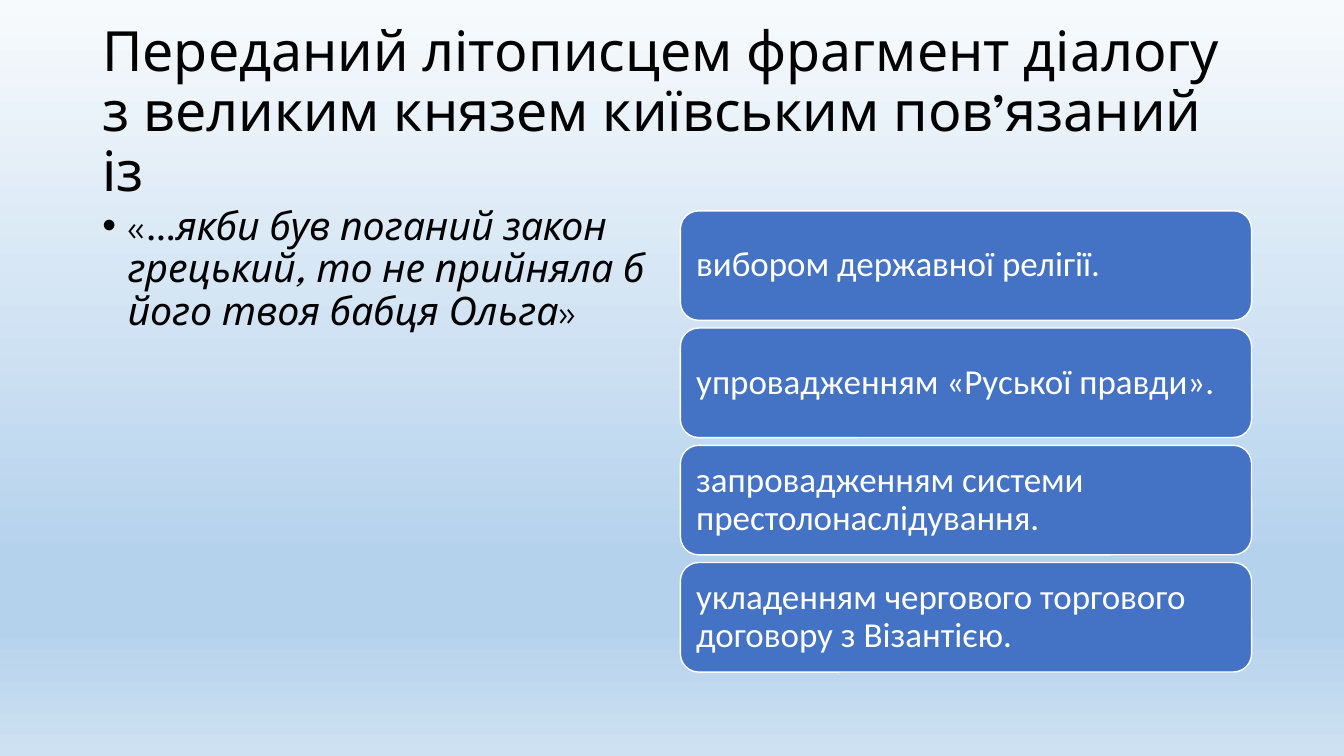
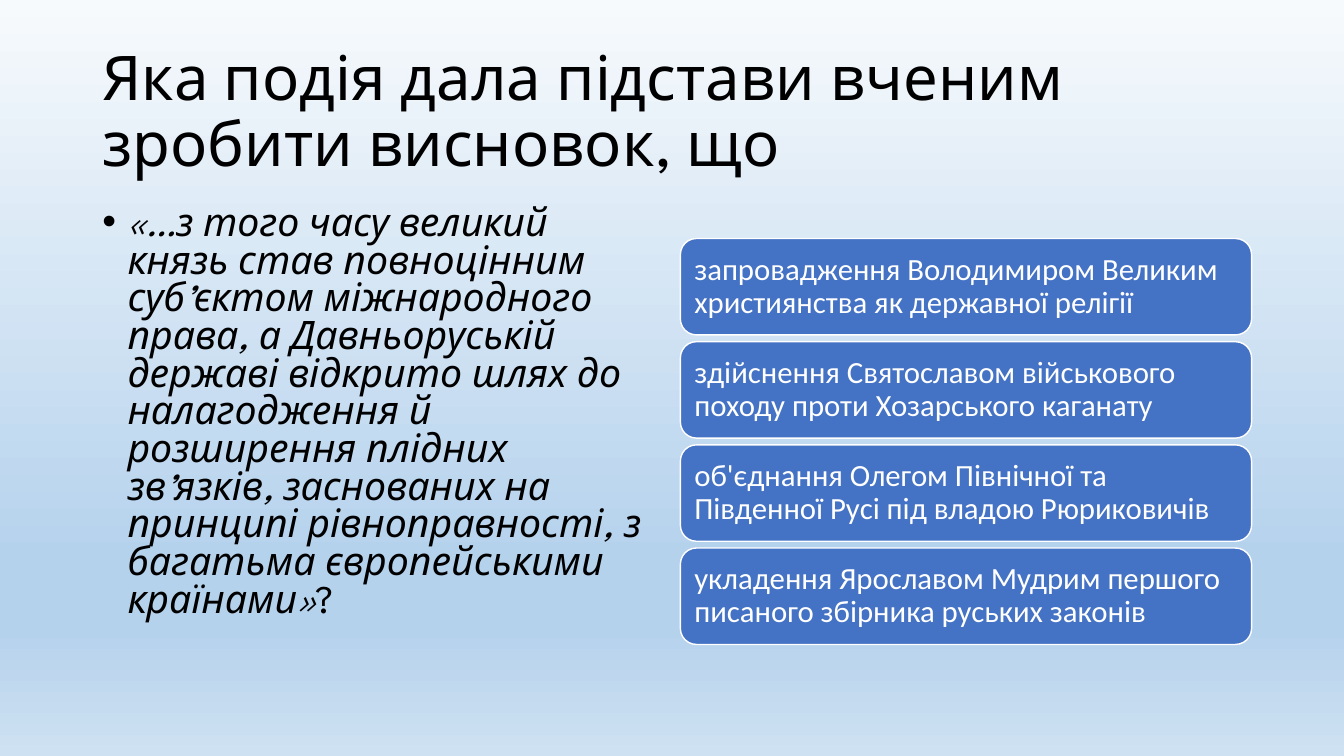
from lxml import etree
from pptx import Presentation
from pptx import util as u
from pptx.dml.color import RGBColor
from pptx.enum import shapes, text
from pptx.oxml.ns import qn

COLORS = {"text": "000000", "card": "4472C4", "light": "FFFFFF"}
BACKGROUND = [(0, "F7FAFD"), (74, "B5D2EC"), (83, "B5D2EC"), (100, "CEE1F2")]
HEAD_FONT = "League Spartan"
CARD_FONT = "Calibri"


def rgb(name):
    return RGBColor.from_string(COLORS[name])


def write(tf, runs, size, font, color="text", spacing=0.9, anchor="TOP",
          inset=(7.2, 3.6), bullet=False):
    tf.word_wrap = True
    tf.auto_size = text.MSO_AUTO_SIZE.NONE
    tf.vertical_anchor = text.MSO_ANCHOR[anchor]
    tf.margin_left = tf.margin_right = u.Pt(inset[0])
    tf.margin_top = tf.margin_bottom = u.Pt(inset[1])
    p = tf.paragraphs[0]
    p.alignment = text.PP_ALIGN.LEFT
    p.line_spacing = spacing
    if bullet:
        pPr = p._p.get_or_add_pPr()
        pPr.set("marL", str(u.Pt(18)))
        pPr.set("indent", str(-u.Pt(18)))
        etree.SubElement(pPr, qn("a:buFont")).set("typeface", "Arial")
        etree.SubElement(pPr, qn("a:buChar")).set("char", "•")
    for words, italic in runs:
        r = p.add_run()
        r.text = words
        r.font.size = u.Pt(size)
        r.font.name = font
        r.font.italic = italic
        r.font.color.rgb = rgb(color)


class Deck:
    left, column, right = 66, 408, 486
    body_top, body_height = 144, 342.7

    def __init__(self):
        self.prs = Presentation()
        self.prs.slide_width = u.Pt(960)
        self.prs.slide_height = u.Pt(540)
        self.slide = None
        self.paint_background()

    def paint_background(self):
        fill = self.prs.slide_master.background.fill
        fill.gradient()
        fill.gradient_angle = 270
        stops = fill.gradient_stops._gsLst
        for gs in list(stops):
            stops.remove(gs)
        for position, color in BACKGROUND:
            gs = etree.SubElement(stops, qn("a:gs"), pos=str(position * 1000))
            etree.SubElement(gs, qn("a:srgbClr"), val=color)

    def new_slide(self):
        self.slide = self.prs.slides.add_slide(self.prs.slide_layouts[6])

    def box(self, x, y, w, h):
        return self.slide.shapes.add_textbox(u.Pt(x), u.Pt(y), u.Pt(w), u.Pt(h))

    def title(self, words, size):
        sp = self.box(self.left, 28.8, 828, 104.4)
        write(sp.text_frame, [(words, False)], size, HEAD_FONT, anchor="MIDDLE")

    def quote(self, runs, spacing):
        sp = self.box(self.left, self.body_top, self.column, self.body_height)
        write(sp.text_frame, runs, 28, HEAD_FONT, spacing=spacing, bullet=True)

    def card(self, words, y, height, size):
        sp = self.slide.shapes.add_shape(
            shapes.MSO_SHAPE.ROUNDED_RECTANGLE,
            u.Pt(self.right), u.Pt(y), u.Pt(self.column), u.Pt(height))
        sp.shadow.inherit = False
        sp.fill.solid()
        sp.fill.fore_color.rgb = rgb("card")
        sp.line.color.rgb = rgb("light")
        sp.line.width = u.Pt(1)
        inset = 0.3 * size
        write(sp.text_frame, [(words, False)], size, CARD_FONT, color="light",
              anchor="MIDDLE", inset=(inset, inset))

    def answers(self, options, size):
        height, gap = 3.13 * size, 0.22 * size
        total = len(options) * (height + gap) - gap
        top = self.body_top + (self.body_height - total) / 2
        for i, words in enumerate(options):
            self.card(words, top + i * (height + gap), height, size)


QUESTIONS = [
    {
        "title": ("Переданий літописцем фрагмент діалогу з великим князем "
                  "київським пов’язаний із", 39.6),
        "quote": ([("«…", False),
                   ("якби був поганий закон грецький, то не прийняла б його "
                    "твоя бабця Ольга", True),
                   ("»", False)], 0.9),
        "answers": (["вибором державної релігії.",
                     "упровадженням «Руської правди».",
                     "запровадженням системи престолонаслідування.",
                     "укладенням чергового торгового договору з Візантією."],
                    25),
    },
    {
        "title": ("Яка подія дала підстави вченим зробити висновок, що", 44),
        "quote": ([("«…з того часу великий князь став повноцінним суб’єктом "
                    "міжнародного права, а Давньоруській державі відкрито шлях "
                    "до налагодження й розширення плідних зв’язків, заснованих "
                    "на принципі рівноправності, з багатьма європейськими "
                    "країнами»", True),
                   ("?", False)], 0.8),
        "answers": (["запровадження Володимиром Великим християнства як "
                     "державної релігії",
                     "здійснення Святославом військового походу проти "
                     "Хозарського каганату",
                     "об'єднання Олегом Північної та Південної Русі під владою "
                     "Рюриковичів",
                     "укладення Ярославом Мудрим першого писаного збірника "
                     "руських законів"], 22),
    },
]


def main():
    deck = Deck()
    for question in QUESTIONS:
        deck.new_slide()
        deck.title(*question["title"])
        deck.quote(*question["quote"])
        deck.answers(*question["answers"])
    deck.prs.save("out.pptx")


if __name__ == "__main__":
    main()
